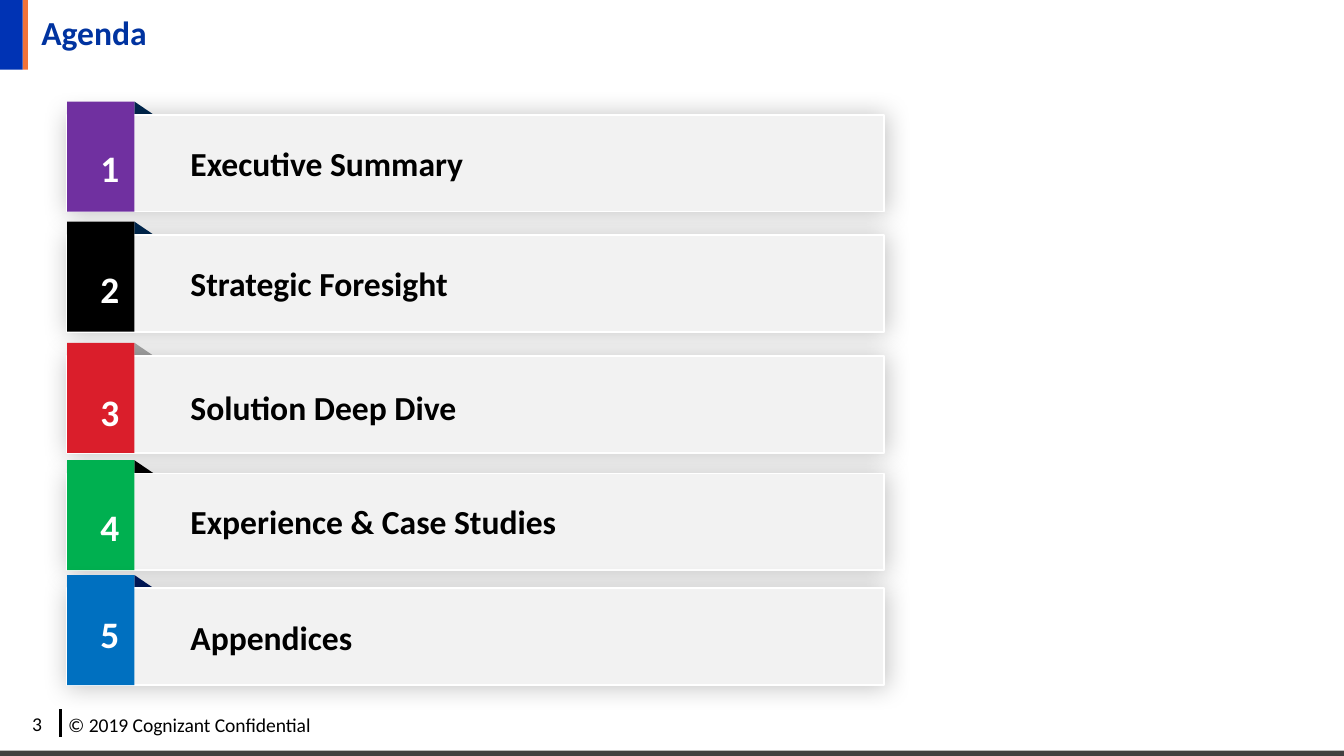
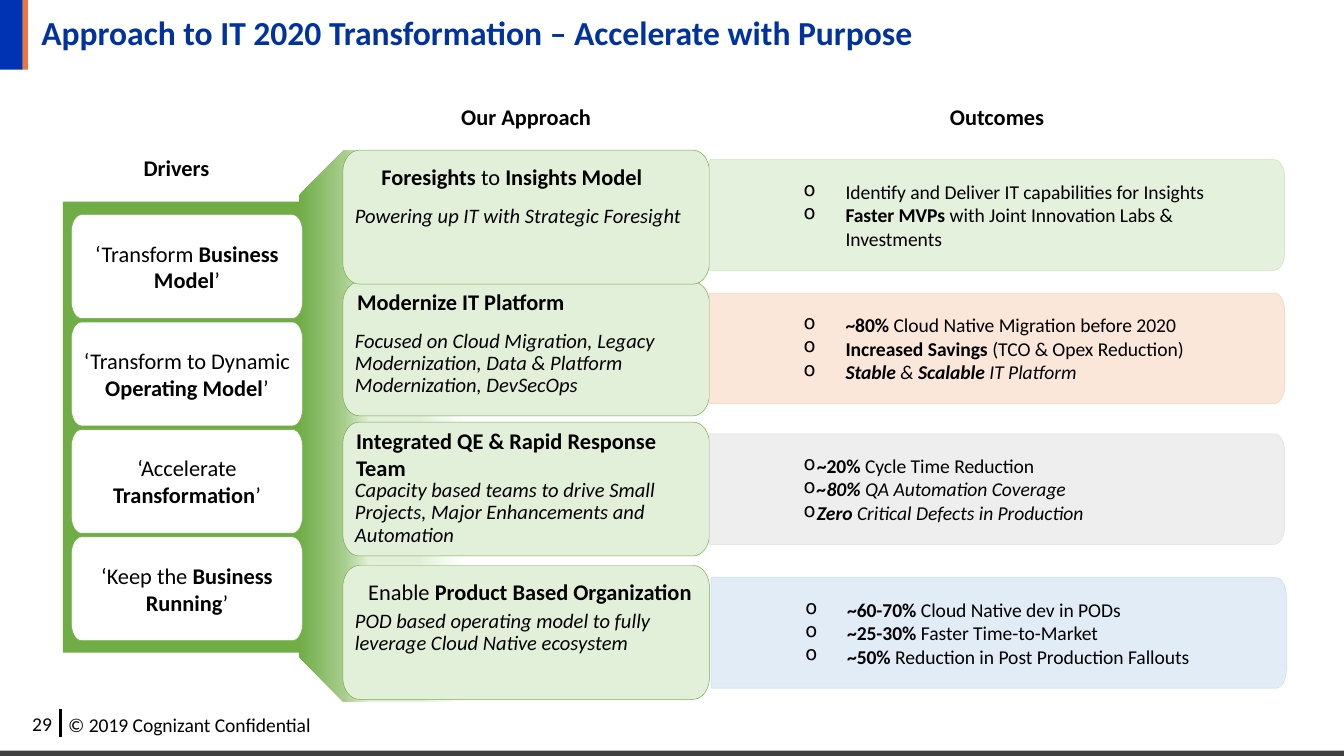
from math import cos, pi, sin

from lxml import etree
from pptx import Presentation
from pptx.dml.color import RGBColor
from pptx.enum.shapes import MSO_CONNECTOR, MSO_SHAPE
from pptx.enum.text import MSO_ANCHOR, MSO_AUTO_SIZE, PP_ALIGN
from pptx.oxml.ns import qn
from pptx.util import Cm, Pt

RECT = MSO_SHAPE.RECTANGLE
TRIANGLE = MSO_SHAPE.RIGHT_TRIANGLE
SNIP = MSO_SHAPE.SNIP_2_SAME_RECTANGLE
LEFT, CENTER = PP_ALIGN.LEFT, PP_ALIGN.CENTER
TOP, MIDDLE, BOTTOM = MSO_ANCHOR.TOP, MSO_ANCHOR.MIDDLE, MSO_ANCHOR.BOTTOM

FONT = "Calibri"
BLACK = RGBColor(0x00, 0x00, 0x00)
WHITE = RGBColor(0xFF, 0xFF, 0xFF)
CHARCOAL = RGBColor(0x40, 0x40, 0x40)
ORANGE = RGBColor(0xF2, 0x73, 0x39)
BAND_BLUE = RGBColor(0x00, 0x33, 0xB4)
TITLE_BLUE = RGBColor(0x00, 0x33, 0xA0)
BAR_GRAY = RGBColor(0xF2, 0xF2, 0xF2)
FOLD_NAVY = RGBColor(0x00, 0x28, 0x50)
FOLD_GRAY = RGBColor(0xA6, 0xA6, 0xA6)
FOLD_BLUE = RGBColor(0x00, 0x19, 0x5A)
PURPLE = RGBColor(0x70, 0x30, 0xA0)
RED = RGBColor(0xDA, 0x1E, 0x2B)
EMERALD = RGBColor(0x00, 0xB0, 0x50)
AZURE = RGBColor(0x00, 0x70, 0xC0)
GREEN = RGBColor(0x70, 0xAD, 0x47)
MID_GREEN = RGBColor(0xA7, 0xCD, 0x8D)
PALE_GREEN = RGBColor(0xE2, 0xF0, 0xD9)
GREEN_EDGE = RGBColor(0xC5, 0xE0, 0xB4)
PALE_ORANGE = RGBColor(0xFB, 0xE5, 0xD6)
ORANGE_EDGE = RGBColor(0xF8, 0xCB, 0xAD)
PALE_GRAY = RGBColor(0xED, 0xED, 0xED)
GRAY_EDGE = RGBColor(0xDB, 0xDB, 0xDB)
PALE_BLUE = RGBColor(0xDE, 0xEB, 0xF7)
BLUE_EDGE = RGBColor(0xBD, 0xD7, 0xEE)

# Content. Lengths are in cm; a run is (text, style) with b = bold, i = italic.
COPYRIGHT = "© 2019 Cognizant Confidential"

# label, tag colour, fold colour, tag top, number top, label top
AGENDA = [
    ("Executive Summary", PURPLE, FOLD_NAVY, 1.92, 2.62, 2.57),
    ("Strategic Foresight", BLACK, FOLD_NAVY, 4.19, 4.9, 4.85),
    ("Solution Deep Dive", RED, FOLD_GRAY, 6.48, 7.24, 7.19),
    ("Experience & Case Studies", EMERALD, BLACK, 8.7, 9.4, 9.35),
    ("Appendices", AZURE, FOLD_BLUE, 10.87, 11.43, 11.53),
]

# text, left, top, width
COLUMN_HEADS = [
    ("Drivers", 1.19, 2.79, 4.29),
    ("Our Approach", 6.48, 1.83, 6.93),
    ("Outcomes", 13.41, 1.83, 10.87),
]

DRIVERS = [
    [("‘Transform ", ""), ("Business Model", "b"), ("’", "")],
    [("‘Transform to Dynamic ", ""), ("Operating Model", "b"), ("’", "")],
    [("‘Accelerate", ""), (" Transformation", "b"), ("’", "")],
    [("‘Keep the ", ""), ("Business Running", "b"), ("’", "")],
]

# card top, anchor, bottom inset, body, heading left, heading top, heading runs
APPROACH = [
    (2.84, MIDDLE, 0.15, "Powering up IT with Strategic Foresight",
     6.96, 2.95, [("Foresights", "b"), (" to ", ""), ("Insights Model", "b")]),
    (5.33, BOTTOM, 0.36,
     "Focused on Cloud Migration, Legacy Modernization, "
     "Data & Platform Modernization, DevSecOps",
     6.5, 5.33, [("Modernize IT Platform", "b")]),
    (7.98, BOTTOM, 0.18,
     "Capacity based teams to drive Small Projects, "
     "Major Enhancements and Automation",
     6.48, 7.95, [("Integrated QE & Rapid Response Team", "b")]),
    (10.69, MIDDLE, 0.15,
     "POD based operating model to fully leverage Cloud Native ecosystem",
     6.71, 10.8, [("Enable ", ""), ("Product Based Organization", "b")]),
]

# left, top, fill, edge, text indent, bullets
OUTCOMES = [
    (13.41, 3.02, PALE_GREEN, GREEN_EDGE, 0.79, [
        [("Identify and Deliver IT capabilities for Insights", "")],
        [("Faster MVPs", "b"),
         (" with Joint Innovation Labs & Investments", "")]]),
    (13.41, 5.54, PALE_ORANGE, ORANGE_EDGE, 0.79, [
        [("~80% ", "b"), ("Cloud Native Migration before 2020", "")],
        [("Increased Savings", "b"), (" (TCO & Opex Reduction)", "")],
        [("Stable ", "bi"), ("& ", "i"), ("Scalable", "bi"),
         (" IT Platform", "i")]]),
    (13.41, 8.2, PALE_GRAY, GRAY_EDGE, 0.25, [
        [("~20% ", "b"), ("Cycle Time Reduction", "")],
        [("~80% ", "bi"), ("QA Automation Coverage", "i")],
        [("Zero", "bi"), (" Critical Defects in Production", "i")]]),
    (13.44, 10.92, PALE_BLUE, BLUE_EDGE, 0.79, [
        [("~60-70% ", "b"), ("Cloud Native dev in PODs", "")],
        [("~25-30% ", "b"), ("Faster Time-to-Market", "")],
        [("~50% ", "b"), ("Reduction in Post Production Fallouts", "")]]),
]

GRADIENT = [(0, GREEN), (27, MID_GREEN), (42, PALE_GREEN),
            (72, PALE_GREEN), (100, WHITE)]


# Text
def style_run(r, size, color, style):
    r.font.name, r.font.size, r.font.color.rgb = FONT, Pt(size), color
    r.font.bold, r.font.italic = "b" in style, "i" in style


def write(tf, paragraphs, size, color=BLACK, align=LEFT, spacing=None,
          bullet_at=None):
    for n, runs in enumerate(paragraphs):
        p = tf.add_paragraph() if n else tf.paragraphs[0]
        p.alignment = align
        if spacing:
            p.line_spacing = spacing
        if bullet_at:
            pPr = p._p.get_or_add_pPr()
            pPr.set("marL", str(Cm(bullet_at)))
            pPr.set("indent", str(-Cm(0.79)))
            etree.SubElement(pPr, qn("a:buChar"), char="o")
        for text, style in runs:
            r = p.add_run()
            r.text = text
            style_run(r, size, color, style)


def set_frame(tf, anchor, left, top, right, bottom):
    tf.word_wrap = True
    tf.vertical_anchor = anchor
    tf.margin_left, tf.margin_top = Cm(left), Cm(top)
    tf.margin_right, tf.margin_bottom = Cm(right), Cm(bottom)


def add_label(s, x, y, w, h, runs, size, color=BLACK, align=LEFT):
    tf = s.shapes.add_textbox(Cm(x), Cm(y), Cm(w), Cm(h)).text_frame
    tf.word_wrap = True
    tf.auto_size = MSO_AUTO_SIZE.SHAPE_TO_FIT_TEXT
    write(tf, [runs], size, color, align)


# Shapes
def paint(sp, fill, edge=None, width=0.25):
    sp.shadow.inherit = False
    sp.fill.solid()
    sp.fill.fore_color.rgb = fill
    if edge is None:
        sp.line.fill.background()
    else:
        sp.line.color.rgb = edge
        sp.line.width = Pt(width)


def add_block(s, kind, x, y, w, h, fill, edge=None, width=0.25):
    sp = s.shapes.add_shape(kind, Cm(x), Cm(y), Cm(w), Cm(h))
    paint(sp, fill, edge, width)
    return sp


def add_card(s, x, y, w, h, rx, ry, fill, edge, square_left=False):
    """Box with elliptical corners, clockwise from the top right."""
    points = []
    corners = [(x + w - rx, y + ry, -90), (x + w - rx, y + h - ry, 0),
               (x + rx, y + h - ry, 90), (x + rx, y + ry, 180)]
    for cx, cy, start in corners[:2] if square_left else corners:
        for step in range(9):
            a = (start + step * 90 / 8) * pi / 180
            points.append((Cm(cx + rx * cos(a)), Cm(cy + ry * sin(a))))
    if square_left:
        points += [(Cm(x), Cm(y + h)), (Cm(x), Cm(y))]
    builder = s.shapes.build_freeform(*points[0])
    builder.add_line_segments(points[1:], close=True)
    sp = builder.convert_to_shape()
    paint(sp, fill, edge)
    return sp


def add_soft_shadow(sp):
    effects = sp._element.spPr.find(qn("a:effectLst"))
    shadow = etree.SubElement(effects, qn("a:outerShdw"), blurRad=str(Pt(13)),
                              dist="0", algn="ctr", rotWithShape="0")
    color = etree.SubElement(shadow, qn("a:srgbClr"), val=str(BLACK))
    etree.SubElement(color, qn("a:alpha"), val="24000")


def set_opacity(sp, percent):
    for color in sp._element.spPr.iter(qn("a:srgbClr")):
        etree.SubElement(color, qn("a:alpha"), val=str(percent * 1000))


def set_gradient(sp, stops):
    sp.fill.gradient()
    sp.fill.gradient_angle = 270
    gs_list = sp._element.spPr.find(qn("a:gradFill")).find(qn("a:gsLst"))
    for gs in list(gs_list):
        gs_list.remove(gs)
    for pos, color in stops:
        gs = etree.SubElement(gs_list, qn("a:gs"), pos=str(pos * 1000))
        etree.SubElement(gs, qn("a:srgbClr"), val=str(color))


# Title, bands and footer of every slide
def new_slide(prs, title, page):
    s = prs.slides.add_slide(prs.slide_layouts[5])
    add_block(s, RECT, 0, 14.19, 25.4, 0.1, CHARCOAL)
    add_block(s, RECT, 0.43, 0, 0.1, 1.32, ORANGE)
    add_block(s, RECT, 0, 0, 0.43, 1.32, BAND_BLUE)
    add_label(s, 0.36, 13.34, 0.97, 0.71, [(page, "")], 10.5)
    add_label(s, 1.04, 13.36, 5.54, 0.71, [(COPYRIGHT, "")], 10.5)
    rule = s.shapes.add_connector(MSO_CONNECTOR.STRAIGHT, Cm(1.14), Cm(13.41),
                                  Cm(1.14), Cm(13.94))
    rule.line.color.rgb, rule.line.width = BLACK, Pt(1.5)
    etree.SubElement(rule._element.spPr, qn("a:effectLst"))

    head = s.shapes.title
    head.left, head.top, head.width, head.height = (
        Cm(0.53), Cm(0), Cm(24.87), Cm(1.32))
    tf = head.text_frame
    tf.auto_size = MSO_AUTO_SIZE.NONE
    set_frame(tf, MIDDLE, 0, 0, 0, 0)
    write(tf, [[(title, "b")]], 18, TITLE_BLUE, spacing=0.9)
    tf.paragraphs[0]._p.get_or_add_pPr().set("marL", str(Cm(0.25)))
    return s


def build_agenda(prs):
    s = new_slide(prs, "Agenda", "3")
    for n, (label, tag, fold, top, number_y, label_y) in enumerate(AGENDA, 1):
        add_block(s, TRIANGLE, 2.54, top, 0.53, 0.36, fold)
        bar = add_block(s, RECT, 1.27, top + 0.25, 15.44, 1.83, BAR_GRAY,
                        WHITE, 1)
        add_soft_shadow(bar)
        add_block(s, RECT, 1.27, top, 1.27, 2.08, tag)
        add_label(s, 1.65, number_y, 0.53, 1.1, [(str(n), "b")], 20, WHITE,
                  CENTER)
        add_label(s, 3.35, label_y, 11.94, 1.02, [(label, "b")], 18)


def build_approach(prs):
    s = new_slide(
        prs, "Approach to IT 2020 Transformation – Accelerate with Purpose",
        "29")

    # Funnel from drivers to approach
    funnel = add_block(s, SNIP, 2.01, 6.48, 10.44, 3.15, GREEN)
    funnel.rotation = 270
    funnel.adjustments[0], funnel.adjustments[1] = 0.27, 0
    set_gradient(funnel, GRADIENT)

    # Approach cards, the upper ones in front
    for top, anchor, bottom, body, *_ in reversed(APPROACH):
        sp = add_card(s, 6.48, top, 6.93, 2.53, 0.31, 0.41, PALE_GREEN, GREEN)
        set_frame(sp.text_frame, anchor, 0.23, 0.15, 0.23, bottom)
        write(sp.text_frame, [[(body, "i")]], 11, spacing=0.9)
    for *_, x, y, runs in APPROACH:
        add_label(s, x, y, 6.9, 0.76, runs, 12)

    # Drivers
    add_block(s, RECT, 1.19, 3.81, 4.5, 8.53, GREEN)
    for n, runs in enumerate(DRIVERS):
        sp = add_card(s, 1.35, 4.06 + n * 2.03, 4.37, 1.96, 0.19, 0.33,
                      WHITE, GREEN)
        set_frame(sp.text_frame, MIDDLE, 0.23, 0.15, 0.23, 0.15)
        write(sp.text_frame, [runs], 12, align=CENTER)

    # Outcomes
    for x, y, fill, edge, indent, bullets in OUTCOMES:
        sp = add_card(s, x, y, 10.87, 2.09, 0.2, 0.34, fill, edge, True)
        set_opacity(sp, 90)
        set_frame(sp.text_frame, MIDDLE, 1.78, 0.51, 0.41, 0.51)
        write(sp.text_frame, bullets, 10.5, bullet_at=indent)

    for text, x, y, w in COLUMN_HEADS:
        add_label(s, x, y, w, 0.76, [(text, "b")], 12, align=CENTER)


def main():
    prs = Presentation()
    prs.slide_width, prs.slide_height = Cm(25.4), Cm(14.29)
    build_agenda(prs)
    build_approach(prs)
    prs.save("out.pptx")


if __name__ == "__main__":
    main()
